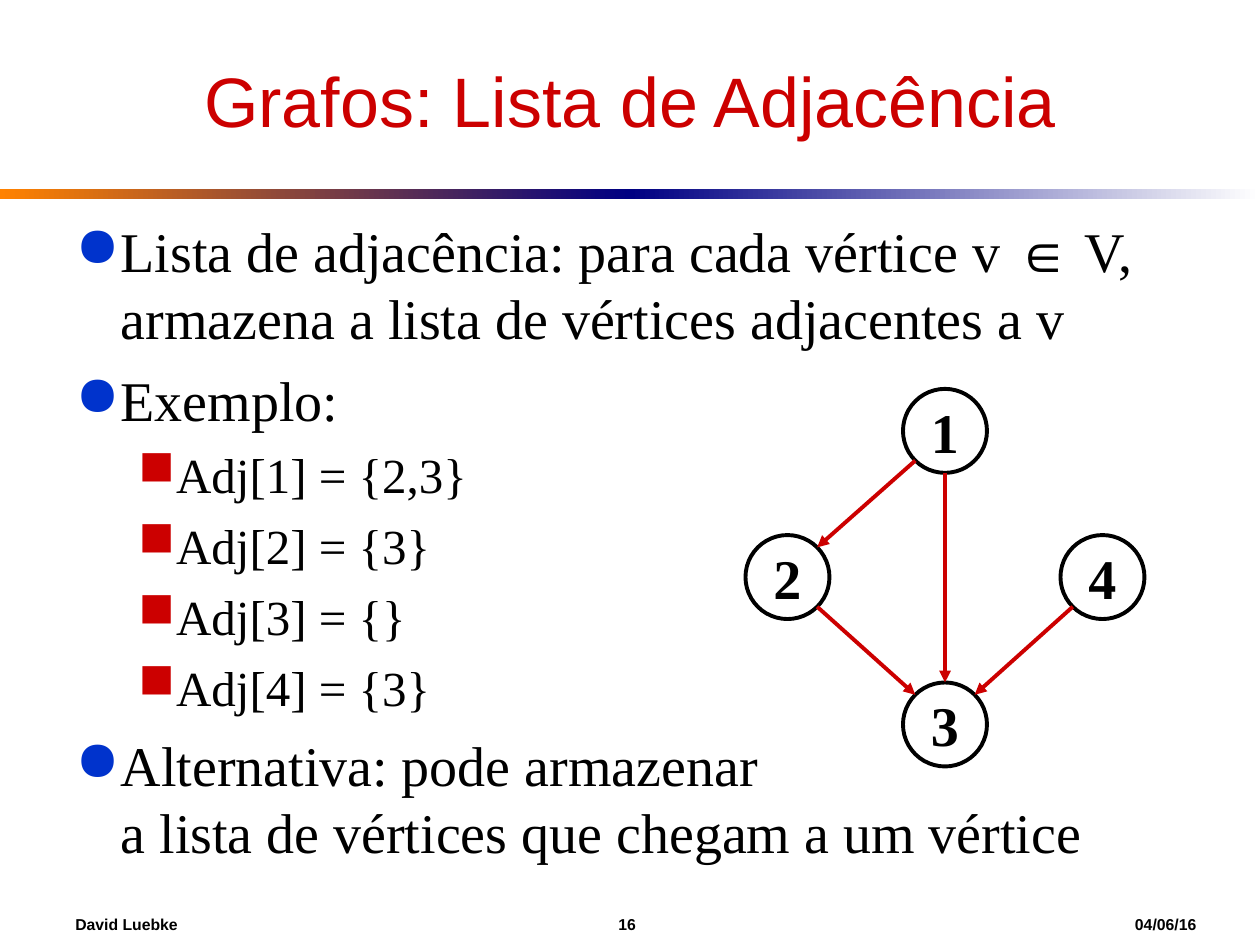
"""Build the adjacency list slide: rule, text, footer and a directed graph."""
import math
from typing import NamedTuple

import pptx
import pptx.dml.color
import pptx.enum.dml
import pptx.enum.shapes
import pptx.enum.text
import pptx.oxml
import pptx.oxml.ns
import pptx.util

Inches = pptx.util.Inches
Pt = pptx.util.Pt
SHAPE = pptx.enum.shapes.MSO_SHAPE
ALIGN = pptx.enum.text.PP_ALIGN
MIDDLE = pptx.enum.text.MSO_ANCHOR.MIDDLE
BLACK, RED, BLUE, NAVY = "000000", "CC0000", "0033CC", "000082"
SERIF, SANS = "Times New Roman", "Arial"
RADIUS = 1 / 3


class Box(NamedTuple):
    left: float
    top: float
    width: float
    height: float


class Level(NamedTuple):
    depth: int
    margin: float
    hanging: float
    before: int
    size: int
    bullet: str
    color: str


class Item(NamedTuple):
    level: Level
    text: str


class Vertex(NamedTuple):
    label: str
    x: float
    y: float


MAIN = Level(0, 0.36, 0.36, 8, 32, "●", BLUE)
SUB = Level(1, 0.8, 0.3, 7, 28, "■", RED)
ITEMS = [
    Item(MAIN, "Lista de adjacência: para cada vértice v ∈ V, "
               "armazena a lista de vértices adjacentes a v"),
    Item(MAIN, "Exemplo:"),
    Item(SUB, "Adj[1] = {2,3}"),
    Item(SUB, "Adj[2] = {3}"),
    Item(SUB, "Adj[3] = {}"),
    Item(SUB, "Adj[4] = {3}"),
    Item(MAIN, "Alternativa: pode armazenar \va lista de vértices que chegam a um vértice"),
]
VERTICES = {v.label: v for v in (
    Vertex("1", 7.5, 3.42), Vertex("2", 6.25, 4.58),
    Vertex("4", 8.75, 4.58), Vertex("3", 7.5, 5.75))}
EDGES = [("1", "2"), ("2", "3"), ("4", "3"), ("1", "3")]


def rgb(value: str) -> pptx.dml.color.RGBColor:
    return pptx.dml.color.RGBColor.from_string(value)


def inches(values) -> list:
    return [Inches(value) for value in values]


def append_xml(parent, xml: str) -> None:
    tag, rest = xml[1:].split(" ", 1) if " " in xml.split(">")[0] else (xml[1:].split("/")[0], "/>")
    namespace = pptx.oxml.ns.nsdecls("a")
    parent.append(pptx.oxml.parse_xml(f"<{tag} {namespace} {rest}"))


def style_runs(paragraph, size: int, name: str, color: str = BLACK, bold: bool = False) -> None:
    style = {"size": Pt(size), "name": name, "bold": bold}
    for run in paragraph.runs:
        for attribute, value in style.items():
            setattr(run.font, attribute, value)
        run.font.color.rgb = rgb(color)


def add_text_frame(slide, box: Box):
    frame = slide.shapes.add_textbox(*inches(box)).text_frame
    frame.word_wrap = True
    return frame


def add_rule(slide, box: Box, start: str, end: str) -> None:
    rule = slide.shapes.add_shape(SHAPE.RECTANGLE, *inches(box))
    rule.shadow.inherit = False
    rule.line.fill.background()
    rule.fill.gradient()
    rule.fill.gradient_angle = 0
    for stop, color, position in zip(rule.fill.gradient_stops, (start, end), (0, 1)):
        stop.color.rgb = rgb(color)
        stop.position = position


def add_footer(slide) -> None:
    frame = add_text_frame(slide, Box(0.5, 7.17, 9.2, 0.33))
    frame.vertical_anchor = MIDDLE
    paragraph = frame.paragraphs[0]
    paragraph.add_run().text = "David Luebke\t16\t04/06/16"
    style_runs(paragraph, 9, SANS, bold=True)
    tabs = "".join(f'<a:tab pos="{Inches(stop)}" algn="l"/>' for stop in (4.31, 8.41))
    namespace = pptx.oxml.ns.nsdecls("a")
    paragraph._p.get_or_add_pPr().append(
        pptx.oxml.parse_xml(f"<a:tabLst {namespace}>{tabs}</a:tabLst>"))


def add_title(slide, text: str) -> None:
    frame = add_text_frame(slide, Box(0.5, 0.25, 9, 1.08))
    frame.vertical_anchor = MIDDLE
    title = frame.paragraphs[0]
    title.text = text
    title.alignment = ALIGN.CENTER
    style_runs(title, 40, SANS, RED)


def write_item(paragraph, item: Item) -> None:
    level = item.level
    before, symbol, after = item.text.partition("∈")
    paragraph.text = before
    for part in filter(None, (symbol, after)):
        paragraph.add_run().text = part
    style_runs(paragraph, level.size, SERIF)
    for run in paragraph.runs:
        if run.text == "∈":
            run.font.name = SANS
    paragraph.level = level.depth
    paragraph.space_before = Pt(level.before)
    properties = paragraph._p.get_or_add_pPr()
    properties.set("marL", str(Inches(level.margin)))
    properties.set("indent", str(-Inches(level.hanging)))
    append_xml(properties, f'<a:buClr ><a:srgbClr val="{level.color}"/></a:buClr>')
    append_xml(properties, f'<a:buChar char="{level.bullet}"/>')


def add_body(slide, items: list[Item]) -> None:
    frame = add_text_frame(slide, Box(0.5, 1.67, 9, 4.75))
    for index, item in enumerate(items):
        write_item(frame.add_paragraph() if index else frame.paragraphs[0], item)


def add_vertex(slide, vertex: Vertex) -> None:
    box = Box(vertex.x - RADIUS, vertex.y - RADIUS, 2 * RADIUS, 2 * RADIUS)
    circle = slide.shapes.add_shape(SHAPE.OVAL, *inches(box))
    circle.shadow.inherit = False
    circle.fill.background()
    circle.line.color.rgb = rgb(BLACK)
    circle.line.width = Pt(2.25)
    frame = circle.text_frame
    frame.word_wrap = False
    frame.vertical_anchor = MIDDLE
    label = frame.paragraphs[0]
    label.text = vertex.label
    label.alignment = ALIGN.CENTER
    style_runs(label, 32, SERIF, bold=True)


def add_edge(slide, source: Vertex, target: Vertex) -> None:
    across = (target.x > source.x) - (target.x < source.x)
    reach = RADIUS / math.hypot(across, 1)
    ends = (source.x + across * reach, source.y + reach,
            target.x - across * reach, target.y - reach)
    edge = slide.shapes.add_connector(pptx.enum.shapes.MSO_CONNECTOR.STRAIGHT, *inches(ends))
    edge.line.color.rgb = rgb(RED)
    edge.line.width = Pt(2.25)
    append_xml(edge.line._get_or_add_ln(), '<a:tailEnd type="triangle"/>')
    append_xml(edge._element.spPr, "<a:effectLst/>")


def main() -> None:
    deck = pptx.Presentation()
    deck.slide_width, deck.slide_height = inches((10, 7.5))
    slide = deck.slides.add_slide(deck.slide_layouts[6])
    add_rule(slide, Box(0, 1.5, 5, 0.08), "FF8200", NAVY)
    add_rule(slide, Box(5, 1.5, 5, 0.08), NAVY, "FFFFFF")
    add_footer(slide)
    add_title(slide, "Grafos: Lista de Adjacência")
    add_body(slide, ITEMS)
    for vertex in VERTICES.values():
        add_vertex(slide, vertex)
    for source, target in EDGES:
        add_edge(slide, VERTICES[source], VERTICES[target])
    deck.save("out.pptx")


if __name__ == "__main__":
    main()
